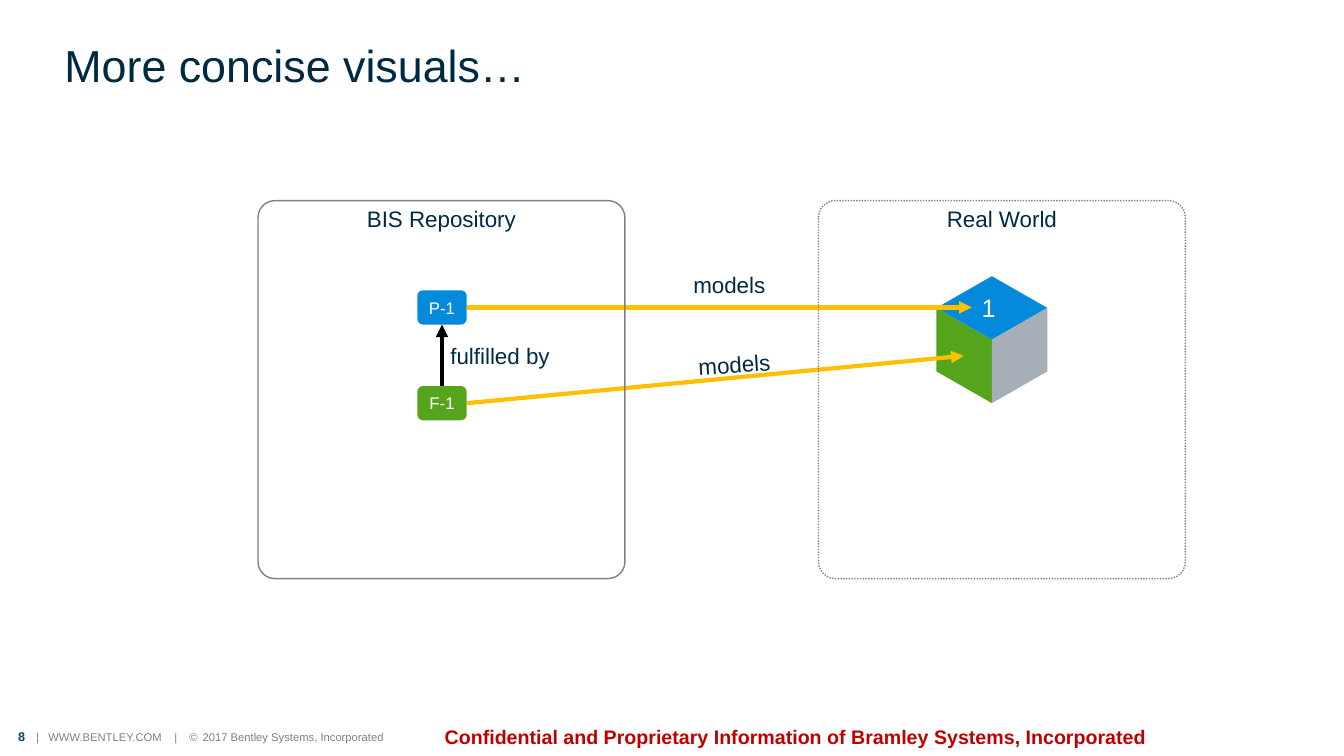
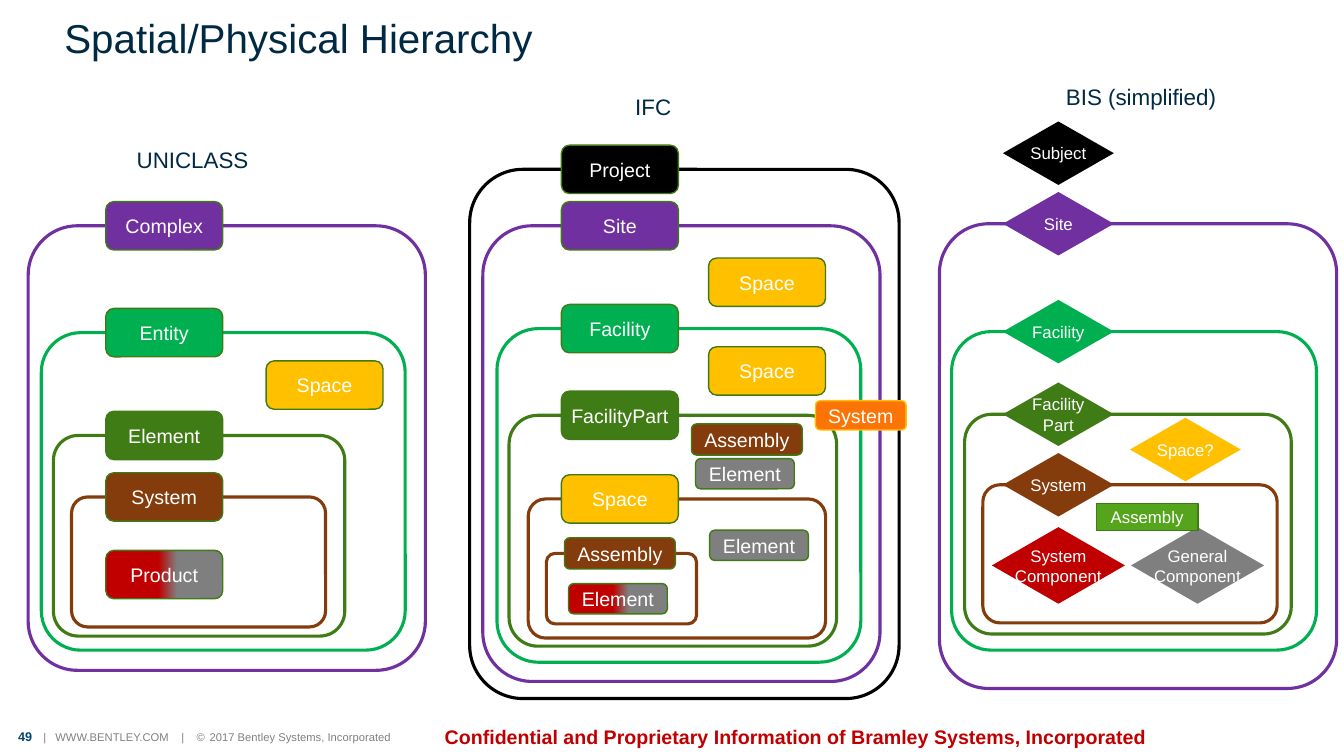
from copy import deepcopy
from dataclasses import dataclass

from pptx import Presentation
from pptx.dml.color import RGBColor
from pptx.enum.dml import MSO_LINE
from pptx.enum.shapes import MSO_CONNECTOR, MSO_SHAPE
from pptx.enum.text import MSO_ANCHOR, PP_ALIGN
from pptx.oxml.ns import qn
from pptx.oxml.xmlchemy import OxmlElement
from pptx.util import Inches, Pt


@dataclass(frozen=True)
class Theme:
    font: str = "Arial"
    ink: str = "002A44"
    white: str = "FFFFFF"
    black: str = "000000"
    gray: str = "808080"
    navy: str = "004570"
    alert: str = "C00000"
    blue: str = "038ADB"
    leaf: str = "55A51C"
    steel: str = "A6AFB7"
    gold: str = "FFC000"
    purple: str = "7030A0"
    green: str = "00B050"
    moss: str = "407C15"
    edge: str = "3F7A15"
    brown: str = "843C0C"
    red: str = "C00000"
    stone: str = "7F7F7F"
    orange: str = "FB7405"
    label: float = 16
    card: float = 14
    small: float = 12
    tiny: float = 8


T = Theme()
CELL = 0.1  # grid cell in inches; all lengths below are columns and rows
COLS, ROWS = 133.33, 75

# Shared footer
SITE = "|\tWWW.BENTLEY.COM\t|\t©\t2017 Bentley Systems, Incorporated"
STOPS = (1.8, 3, 15.5, 17, 18.3)
NOTICE = "Confidential and Proprietary Information of Bramley Systems, Incorporated"

# Slide 1: panels, boxes, cube, labels
VISUALS = {
    "title": "More concise visuals…", "page": 8, "size": 32, "rows": 8.3,
    "panels": [("BIS Repository", 25.6, None),
               ("Real World", 81.2, MSO_LINE.ROUND_DOT)],
    "boxes": [("P-1", T.blue, 28.8, (96.4, 30.5)),
              ("F-1", T.leaf, 38.3, (95.6, 35.3))],
    "labels": [("models", 64.2, 26.4, PP_ALIGN.CENTER, 0),
               ("models", 64.7, 34.3, PP_ALIGN.CENTER, -3.7),
               ("fulfilled by", 43.7, 33.5, PP_ALIGN.LEFT, 0)],
    "cube": (98.4, 33.7, 5.5, 3.15),
}

# Slide 2: each frame carries a tag on its top edge; loose tags stand alone
SPLIT = (T.red, T.stone)
TAGS = {  # preset, columns, rows, type size, edge
    "card": (MSO_SHAPE.ROUNDED_RECTANGLE, 11.6, 4.8, T.card, T.edge),
    "strip": (MSO_SHAPE.ROUNDED_RECTANGLE, 11, 3.1, T.card, T.edge),
    "chip": (MSO_SHAPE.ROUNDED_RECTANGLE, 9.8, 3, T.card, T.edge),
    "badge": (MSO_SHAPE.ROUNDED_RECTANGLE, 9, 2.9, T.card, T.gold),
    "gem": (MSO_SHAPE.DIAMOND, 11, 6.3, T.small, None),
    "jewel": (MSO_SHAPE.DIAMOND, 13.2, 7.6, T.small, None),
    "plate": (MSO_SHAPE.RECTANGLE, 10.1, 2.7, T.small, T.edge),
}
TREES = {
    "title": "Spatial/Physical Hierarchy", "page": 49, "size": 28.8, "rows": 2.9,
    "trees": [
        {"head": ("UNICLASS", 8.2, 14), "axis": 16.3,
         "frames": [("Complex", "card", T.purple, 2.8, 22.4, 39.4, 44.1),
                    ("Entity", "card", T.green, 4.1, 33, 36.1, 31.5),
                    ("Element", "card", T.moss, 5.3, 43.2, 28.9, 19.9),
                    ("System", "card", T.brown, 7.1, 49.3, 25.2, 12.9)],
         "loose": [("Space", "card", T.gold, 32.2, 38.2),
                   ("Product", "card", SPLIT, 16.3, 57)]},
        {"head": ("IFC", 53.9, 8.7), "axis": 61.5,
         "frames": [("Project", "card", T.black, 46.6, 16.8, 42.6, 52.5),
                    ("Site", "card", T.purple, 47.9, 22.4, 39.4, 45.2),
                    ("Facility", "card", T.green, 49.3, 32.6, 36.1, 33.1),
                    ("FacilityPart", "card", T.moss, 50.5, 41.2, 32.5, 22.9),
                    ("Space", "card", T.gold, 52.4, 49.5, 29.5, 13.8),
                    ("Assembly", "strip", T.brown, 54.2, 54.9, 14.9, 7)],
         "loose": [("Space", "card", T.gold, 76.1, 28),
                   ("Space", "card", T.gold, 76.1, 36.8),
                   ("System", "badge", T.orange, 85.4, 41.2),
                   ("Assembly", "strip", T.brown, 74.1, 43.6),
                   ("Element", "chip", T.stone, 73.9, 47),
                   ("Element", "chip", T.stone, 75.3, 54.1),
                   ("Element", "chip", SPLIT, 61.3, 59.4)]},
        {"head": ("BIS (simplified)", 102.3, 7.8), "axis": 105,
         "frames": [("Site", "gem", T.purple, 93.2, 22.2, 39.4, 46.1),
                    ("Facility", "gem", T.green, 94.4, 32.9, 36.2, 31.6),
                    ("Facility\nPart", "gem", T.moss, 95.7, 41.1, 32.4, 21.8),
                    ("System", "gem", T.brown, 97.5, 48.1, 29.2, 13.7)],
         "loose": [("Subject", "gem", T.black, 105, 15.2),
                   ("Space?", "gem", T.gold, 117.6, 44.6),
                   ("System\nComponent", "jewel", T.red, 105, 56.1),
                   ("General\nComponent", "jewel", T.stone, 118.8, 56.1),
                   ("Assembly", "plate", T.leaf, 113.8, 51.3)]},
    ],
}


def grid(*cells):
    return [Inches(cell * CELL) for cell in cells]


def rgb(code):
    return RGBColor.from_string(code)


def add_run(par, text, size, color, bold=False):
    run = par.add_run()
    run.text = text
    font = run.font
    font.name, font.size, font.bold = T.font, Pt(size), bold
    font.color.rgb = rgb(color)


def write(shape, text, size=T.label, color=T.ink, bold=False, align=PP_ALIGN.CENTER,
          anchor=MSO_ANCHOR.TOP, wrap=True, pad=(1, 0.5), lead=None):
    """Put formatted text in a shape and return its last paragraph."""
    frame = shape.text_frame
    frame.word_wrap, frame.vertical_anchor = wrap, anchor
    frame.margin_left = frame.margin_right = Inches(pad[0] * CELL)
    frame.margin_top = frame.margin_bottom = Inches(pad[1] * CELL)
    for num, line in enumerate(text.split("\n")):
        par = frame.add_paragraph() if num else frame.paragraphs[0]
        par.alignment = align
        if lead:
            par.line_spacing = lead
        add_run(par, line, size, color, bold)
    return par


def add_text(slide, text, x, y, w, h, **form):
    box = slide.shapes.add_textbox(*grid(x, y, w, h))
    return box, write(box, text, **form)


def paint(shape, fill=None, line=None, width=1):
    shape.shadow.inherit = False
    if isinstance(fill, tuple):  # two colours with a short blend
        shape.fill.gradient()
        shape.fill.gradient_angle = 0
        stops = shape._element.spPr.find(qn("a:gradFill")).find(qn("a:gsLst"))
        stops.insert(0, deepcopy(stops[0]))
        stops.append(deepcopy(stops[-1]))
        tones = (fill[0], fill[0], fill[1], fill[1])
        for stop, place, tone in zip(shape.fill.gradient_stops, (0, 0.45, 0.61, 1), tones):
            stop.position, stop.color.rgb = place, rgb(tone)
    elif fill:
        shape.fill.solid()
        shape.fill.fore_color.rgb = rgb(fill)
    else:
        shape.fill.background()
    if line:
        shape.line.color.rgb, shape.line.width = rgb(line), Pt(width)
    else:
        shape.line.fill.background()


def add_shape(slide, kind, x, y, w, h, fill=None, line=None, width=1, bend=None):
    shape = slide.shapes.add_shape(kind, *grid(x, y, w, h))
    if bend:
        shape.adjustments[0] = bend
    paint(shape, fill, line, width)
    return shape


def add_arrow(slide, start, site, color, goal=None, point=(0, 0)):
    """Arrow from a shape's site to the foot of a goal shape or to a point."""
    arrow = slide.shapes.add_connector(MSO_CONNECTOR.STRAIGHT, 0, 0, *grid(*point))
    arrow.begin_connect(start, site)
    if goal is not None:
        arrow.end_connect(goal, 2)
    arrow.line.color.rgb, arrow.line.width = rgb(color), Pt(3)
    tip = OxmlElement("a:tailEnd")
    tip.set("type", "triangle")
    arrow.line._get_or_add_ln().append(tip)
    arrow._element.spPr.append(OxmlElement("a:effectLst"))


def add_base(deck, data):
    """Blank slide with the shared title and footer."""
    slide = deck.slides.add_slide(deck.slide_layouts[6])
    page = str(data["page"])
    _, par = add_text(slide, page + "\t", 0.5, 71.6, 62.6, 2.9, size=9, color=T.navy,
                      bold=True, align=PP_ALIGN.LEFT, pad=(1.3, 0.7))
    tabs = OxmlElement("a:tabLst")
    for stop in STOPS:
        tab = OxmlElement("a:tab")
        tab.set("pos", str(Inches((stop + 0.7 * (len(page) - 1)) * CELL)))
        tab.set("algn", "l")
        tabs.append(tab)
    par._p.get_or_add_pPr().append(tabs)
    add_run(par, SITE, T.tiny, T.gray)
    add_text(slide, NOTICE, 42.9, 71.4, 72.1, 3.4, size=T.card, color=T.alert, bold=True)
    add_text(slide, data["title"], 5.4, 2.6, 122.2, data["rows"], size=data["size"],
             align=PP_ALIGN.LEFT, anchor=MSO_ANCHOR.MIDDLE, lead=0.9)
    return slide


def add_cube(slide, x, y, w, h):
    mid, top, foot = (x, y), (x, y - 2 * h), (x, y + 2 * h)
    faces = [(T.leaf, [(x - w, y - h), mid, foot, (x - w, y + h)]),
             (T.blue, [(x - w, y - h), top, (x + w, y - h), mid]),
             (T.steel, [(x + w, y - h), (x + w, y + h), foot, mid])]
    for color, spots in faces:
        spots = [grid(*spot) for spot in spots]
        pen = slide.shapes.build_freeform(*spots[0])
        pen.add_line_segments(spots[1:], close=True)
        paint(pen.convert_to_shape(), color)
    add_text(slide, "1", x - 2, y - 5.2, 3.5, 4, size=18, color=T.white,
             align=PP_ALIGN.LEFT)


def add_visuals(deck, data):
    slide = add_base(deck, data)
    add_cube(slide, *data["cube"])
    # Boxes and arrows
    boxes = []
    for text, color, y, point in data["boxes"]:
        box = add_shape(slide, MSO_SHAPE.ROUNDED_RECTANGLE, 41.4, y, 4.9, 3.4, color)
        write(box, text, size=T.small, color=T.white, anchor=MSO_ANCHOR.MIDDLE,
              wrap=False, pad=(0, 0))
        add_arrow(slide, box, 3, T.gold, point=point)
        boxes.append(box)
    add_arrow(slide, boxes[1], 0, T.black, goal=boxes[0])
    for text, x, y, align, turn in data["labels"]:
        box, _ = add_text(slide, text, x, y, 16.3, 3.7, align=align)
        box.rotation = turn
    # Panels
    for text, x, dash in data["panels"]:
        panel = add_shape(slide, MSO_SHAPE.ROUNDED_RECTANGLE, x, 19.9, 36.4, 37.5,
                          line=T.gray, bend=0.046)
        panel.line.dash_style = dash
        write(panel, text, pad=(0, 0))


def add_tag(slide, text, kind, color, x, y):
    preset, w, h, size, edge = TAGS[kind]
    tag = add_shape(slide, preset, x - w / 2, y - h / 2, w, h, color, edge)
    write(tag, text, size=size, color=T.white, anchor=MSO_ANCHOR.MIDDLE,
          wrap=False, pad=(0, 0))


def add_trees(deck, data):
    slide = add_base(deck, data)
    for tree in data["trees"]:
        add_text(slide, *tree["head"], 21.8, 3.7)
        for text, kind, color, x, y, w, h in tree["frames"]:
            line = T.brown if color == T.gold else color
            add_shape(slide, MSO_SHAPE.ROUNDED_RECTANGLE, x, y, w, h, T.white, line,
                      2.25, 0.124)
        for text, kind, color, x, y, w, h in tree["frames"]:
            add_tag(slide, text, kind, color, tree["axis"], y)
        for tag in tree["loose"]:
            add_tag(slide, *tag)


def main():
    deck = Presentation()
    deck.slide_width, deck.slide_height = grid(COLS, ROWS)
    add_visuals(deck, VISUALS)
    add_trees(deck, TREES)
    deck.save("out.pptx")


if __name__ == "__main__":
    main()
